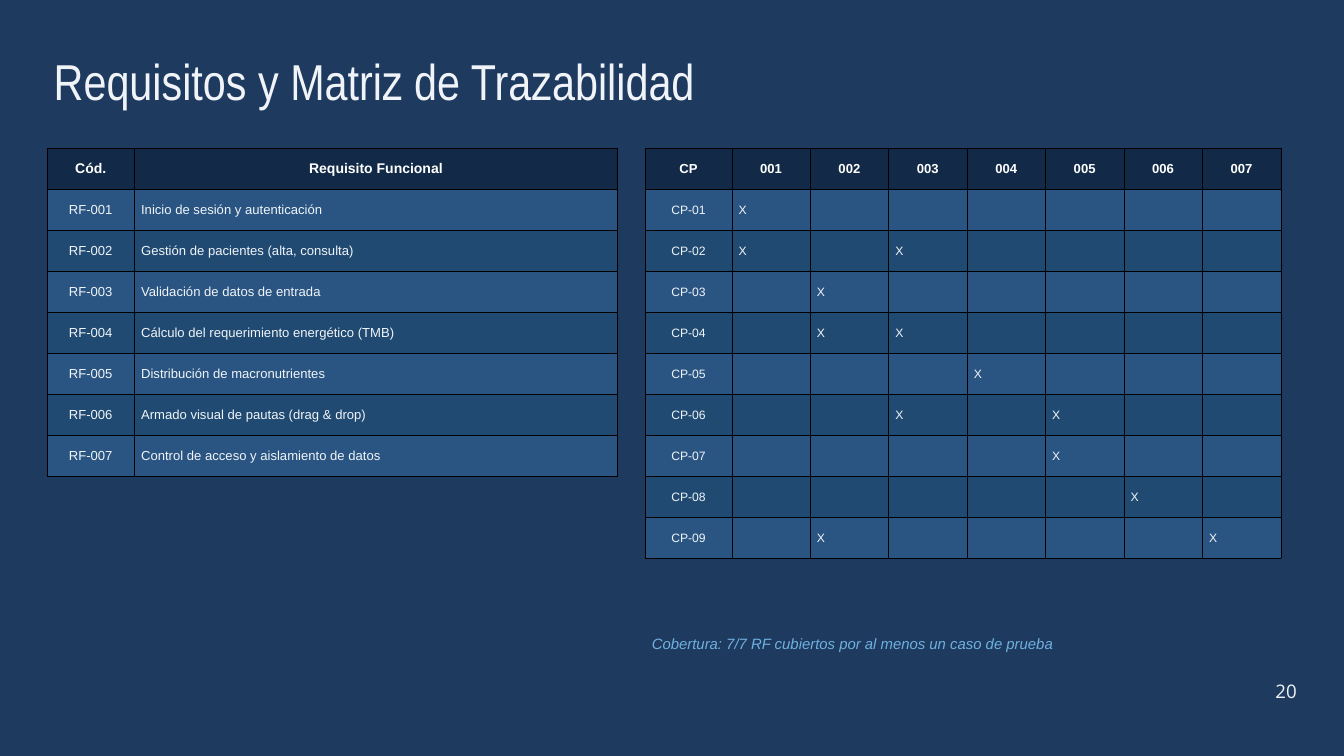
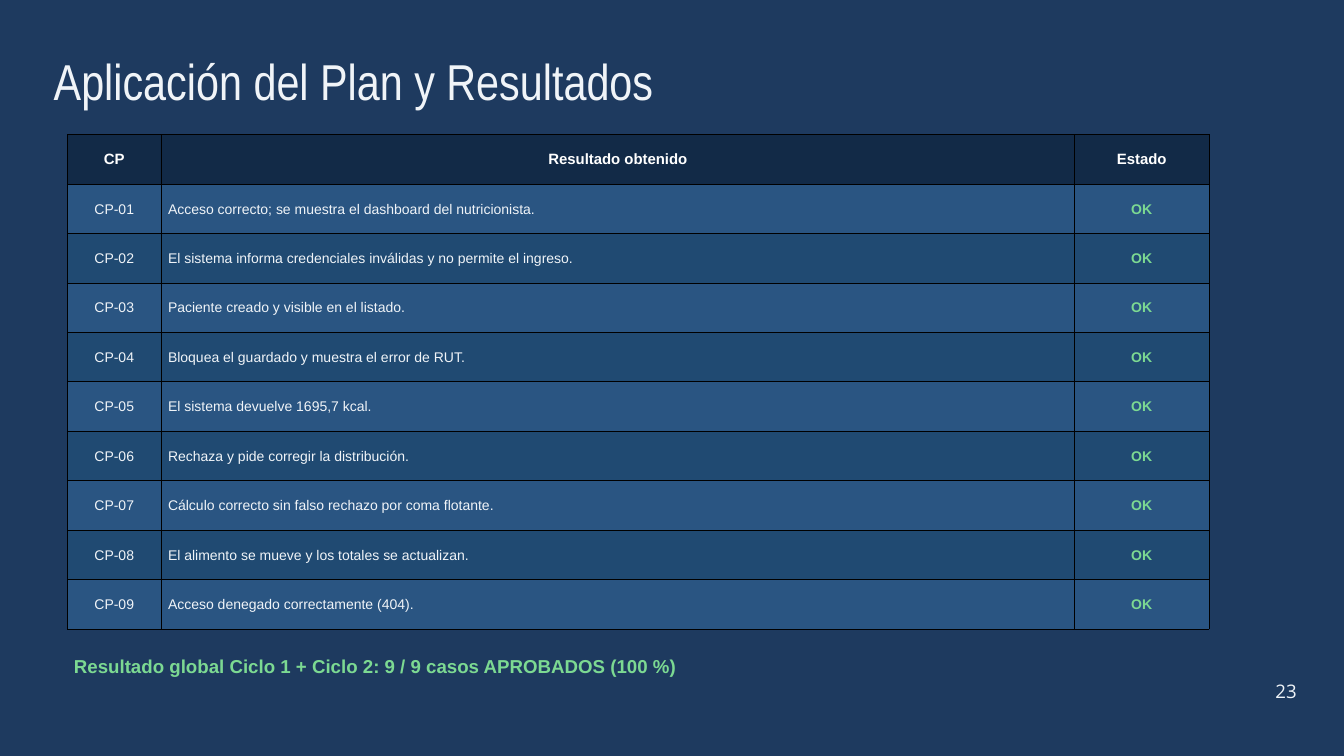
"""Build two slides on requirement tracing and test results."""
from lxml.etree import SubElement as Sub
from pptx import Presentation
from pptx.dml.color import RGBColor
from pptx.enum.text import MSO_ANCHOR as Anchor, MSO_AUTO_SIZE as Fit, PP_ALIGN as Align
from pptx.oxml.ns import qn
from pptx.util import Inches, Pt

NAVY, HEAD, BANDS = "1E3A5F", "122A47", ("204A72", "2A5582")
PALE, WHITE, SKY, GREEN = "F0F4F8", "FFFFFF", "6FB1E0", "7CD992"
EDGE = "000000"

deck = Presentation()
deck.slide_width, deck.slide_height = Inches(20), Inches(11.25)
unit = deck.slide_width / 200
hue = RGBColor.from_string


def write(frame, text, size, tint, face="Arial", bold=False, slant=False, align=Align.LEFT):
    """Add one styled run to the first paragraph of a frame."""
    para = frame.paragraphs[0]
    para.alignment = align
    para.line_spacing = Pt(size * 1.2)
    run = para.add_run()
    run.text = text
    font = run.font
    font.name, font.size, font.bold, font.italic = face, Pt(size), bold, slant
    font.color.rgb = hue(tint)


def draw(slide, left, top, cols, high, sizes, rows):
    """Add a banded table with a dark head row and thin black edges."""
    wide = [round(col * unit) for col in cols]
    tall = round(high * unit)
    table = slide.shapes.add_table(len(rows), len(cols), round(left * unit), round(top * unit),
                                   sum(wide), tall * len(rows)).table
    table.horz_banding = False
    for col, width in zip(table.columns, wide):
        col.width = width
    for r, row in enumerate(rows):
        table.rows[r].height = tall
        for c, text in enumerate(row):
            cell = table.cell(r, c)
            cell.margin_left = cell.margin_right = Inches(0.1)
            cell.margin_top = cell.margin_bottom = Inches(0.1)
            cell.vertical_anchor = Anchor.MIDDLE
            props = cell._tc.get_or_add_tcPr()
            for side in ("a:lnL", "a:lnR", "a:lnT", "a:lnB"):
                line = Sub(props, qn(side), w=str(Pt(0.37)))
                Sub(Sub(line, qn("a:solidFill")), qn("a:srgbClr"), val=EDGE)
            cell.fill.solid()
            cell.fill.fore_color.rgb = hue(BANDS[r % 2] if r else HEAD)
            if text:
                passed = text == "OK"
                tint = GREEN if passed else PALE if r else WHITE
                mid = r == 0 or c == 0 or passed
                write(cell.text_frame, text, sizes[min(r, 1)], tint, bold=r == 0 or passed,
                      align=Align.CENTER if mid else Align.LEFT)


needs = ["Inicio de sesión y autenticación",
         "Gestión de pacientes (alta, consulta)",
         "Validación de datos de entrada",
         "Cálculo del requerimiento energético (TMB)",
         "Distribución de macronutrientes",
         "Armado visual de pautas (drag & drop)",
         "Control de acceso y aislamiento de datos"]
marks = [(1,), (1, 3), (2,), (2, 3), (4,), (3, 5), (5,), (6,), (2, 7)]
found = ["Acceso correcto; se muestra el dashboard del nutricionista.",
         "El sistema informa credenciales inválidas y no permite el ingreso.",
         "Paciente creado y visible en el listado.",
         "Bloquea el guardado y muestra el error de RUT.",
         "El sistema devuelve 1695,7 kcal.",
         "Rechaza y pide corregir la distribución.",
         "Cálculo correcto sin falso rechazo por coma flotante.",
         "El alimento se mueve y los totales se actualizan.",
         "Acceso denegado correctamente (404)."]

codes = range(1, len(needs) + 1)
goals = [("Cód.", "Requisito Funcional")]
goals += [(f"RF-{n:03}", need) for n, need in enumerate(needs, 1)]
trace = [["CP"] + [f"{n:03}" for n in codes]]
trace += [[f"CP-{n:02}"] + ["X" if code in hits else "" for code in codes]
          for n, hits in enumerate(marks, 1)]
tests = [("CP", "Resultado obtenido", "Estado")]
tests += [(f"CP-{n:02}", text, "OK") for n, text in enumerate(found, 1)]

pages = [
    ("Requisitos y Matriz de Trazabilidad", "20",
     [(7, 22, (13, 71.9), 6.11, (15, 14), goals),
      (96, 22, [12.9] + [11.67] * 7, 6.11, (14, 13), trace)],
     ((97, 94.5, 88, 5), "Cobertura: 7/7 RF cubiertos por al menos un caso de prueba",
      dict(size=16, tint=SKY, slant=True))),
    ("Aplicación del Plan y Resultados", "23",
     [(10, 20, (14, 135.9, 20), 7.36, (16, 15), tests)],
     ((11, 97.5, 168, 6), "Resultado global Ciclo 1 + Ciclo 2: 9 / 9 casos APROBADOS (100 %)",
      dict(size=20, tint=GREEN, bold=True))),
]

for title, page, grids, note in pages:
    slide = deck.slides.add_slide(deck.slide_layouts[6])
    slide.background.fill.solid()
    slide.background.fill.fore_color.rgb = hue(NAVY)
    for grid in grids:
        draw(slide, *grid)
    texts = [((8, 7.4, 184, 12.1), title, dict(size=54, tint=PALE, face="Arial Narrow")),
             note,
             ((189.8, 101.2, 4, 3.1), page, dict(size=20, tint=PALE, face="Open Sans"))]
    for place, text, style in texts:
        frame = slide.shapes.add_textbox(*[round(n * unit) for n in place]).text_frame
        frame.margin_left = frame.margin_right = frame.margin_top = frame.margin_bottom = 0
        frame.word_wrap = True
        frame.auto_size = Fit.SHAPE_TO_FIT_TEXT
        write(frame, text, **style)

deck.save("out.pptx")
